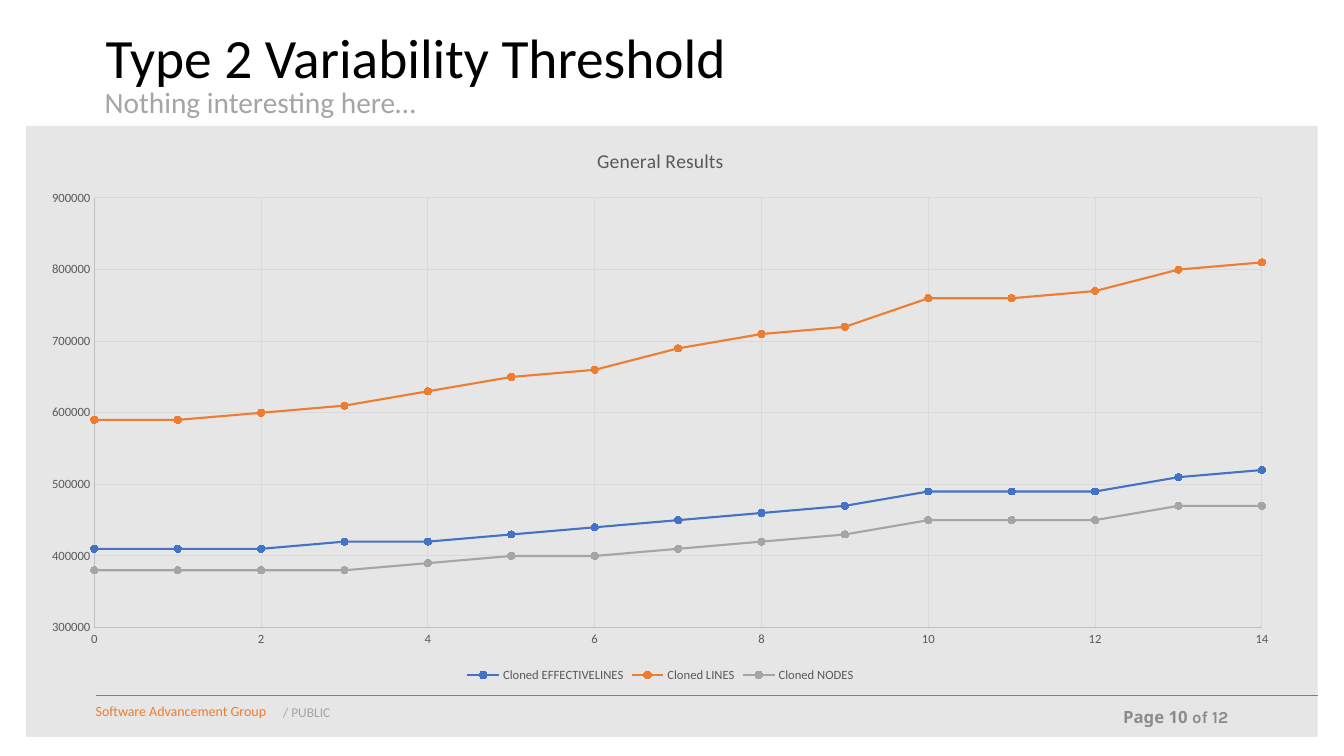
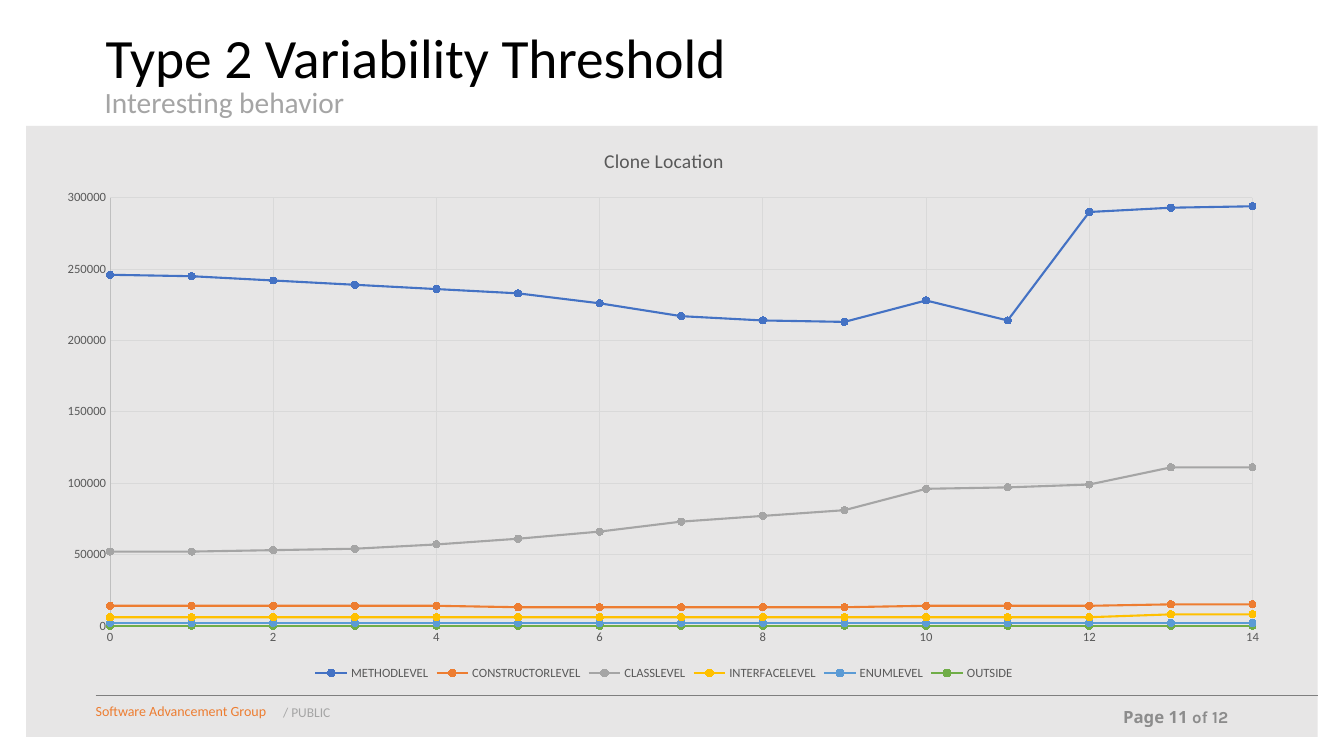
from lxml import etree
from pptx import Presentation
from pptx.chart.data import XyChartData
from pptx.dml.color import RGBColor
from pptx.enum.chart import XL_CHART_TYPE, XL_LEGEND_POSITION, XL_MARKER_STYLE, XL_TICK_MARK
from pptx.enum.shapes import MSO_CONNECTOR, MSO_SHAPE
from pptx.enum.text import MSO_ANCHOR, PP_ALIGN
from pptx.oxml.ns import qn
from pptx.util import Inches, Pt

SCATTER_LINES = XL_CHART_TYPE.XY_SCATTER_LINES
BOTTOM = XL_LEGEND_POSITION.BOTTOM
CIRCLE = XL_MARKER_STYLE.CIRCLE
NO_TICK = XL_TICK_MARK.NONE
STRAIGHT = MSO_CONNECTOR.STRAIGHT
RECT = MSO_SHAPE.RECTANGLE
TOP, MIDDLE = MSO_ANCHOR.TOP, MSO_ANCHOR.MIDDLE
LEFT, RIGHT = PP_ALIGN.LEFT, PP_ALIGN.RIGHT

BLACK = RGBColor(0x00, 0x00, 0x00)
PANEL = RGBColor(0xE7, 0xE6, 0xE6)
RULE = RGBColor(0x7F, 0x7F, 0x7F)
PAGE_GRAY = RGBColor(0x8C, 0x8C, 0x8C)
CHART_TEXT = RGBColor(0x59, 0x59, 0x59)
AXIS = RGBColor(0xBF, 0xBF, 0xBF)
GRID = RGBColor(0xD9, 0xD9, 0xD9)
BLUE = RGBColor(0x44, 0x72, 0xC4)
ORANGE = RGBColor(0xED, 0x7D, 0x31)
GRAY = RGBColor(0xA5, 0xA5, 0xA5)
YELLOW = RGBColor(0xFF, 0xC0, 0x00)
SKY = RGBColor(0x5B, 0x9B, 0xD5)
GREEN = RGBColor(0x70, 0xAD, 0x47)
SERIES_COLORS = [BLUE, ORANGE, GRAY, YELLOW, SKY, GREEN]

# Content: series values are in thousands, one per threshold 0 to 14
TITLE = "Type 2 Variability Threshold"
GROUP, LABEL = "Software Advancement Group", "/ public"
PAGES = 12
SLIDES = [
    {
        "page": 10,
        "subtitle": "Nothing interesting here…",
        "chart": "General Results",
        "at": (0.27, 1.26, 12.57, 5.55),
        "scale": (300, 900, 100),
        "series": {
            "Cloned EFFECTIVELINES": [410, 410, 410, 420, 420, 430, 440, 450, 460, 470,
                                      490, 490, 490, 510, 520],
            "Cloned LINES": [590, 590, 600, 610, 630, 650, 660, 690, 710, 720,
                             760, 760, 770, 800, 810],
            "Cloned NODES": [380, 380, 380, 380, 390, 400, 400, 410, 420, 430,
                             450, 450, 450, 470, 470],
        },
    },
    {
        "page": 11,
        "subtitle": "Interesting behavior",
        "chart": "Clone Location",
        "at": (0.44, 1.26, 12.3, 5.53),
        "scale": (0, 300, 50),
        "series": {
            "METHODLEVEL": [246, 245, 242, 239, 236, 233, 226, 217, 214, 213,
                            228, 214, 290, 293, 294],
            "CONSTRUCTORLEVEL": [14] * 5 + [13] * 5 + [14] * 3 + [15] * 2,
            "CLASSLEVEL": [52, 52, 53, 54, 57, 61, 66, 73, 77, 81,
                           96, 97, 99, 111, 111],
            "INTERFACELEVEL": [6] * 13 + [8] * 2,
            "ENUMLEVEL": [2] * 15,
            "OUTSIDE": [0] * 15,
        },
    },
]

# Shared styles
TITLE_FONT = {"name": "Calibri", "size": Pt(39.6), "color": BLACK}
SUBTITLE_FONT = {"name": "Calibri", "size": Pt(21), "color": GRAY}
GROUP_FONT = {"name": "Calibri", "size": Pt(10), "color": ORANGE}
LABEL_FONT = {"name": "Calibri", "size": Pt(12), "color": GRAY}
PAGE_FONT = {"name": "Noto Sans", "size": Pt(12), "bold": True, "color": PAGE_GRAY}
TOTAL_FONT = {**PAGE_FONT, "name": "Karla"}
CHART_FONT = {"name": "Calibri", "size": Pt(10), "color": BLACK}
CHART_TITLE_FONT = {"name": "Calibri", "size": Pt(14), "bold": False, "color": CHART_TEXT}
CHART_LABEL_FONT = {"name": "Calibri", "size": Pt(9), "color": CHART_TEXT}
PLOT_AREA = {"x": 0.053, "y": 0.127, "w": 0.922, "h": 0.768}


def style_font(font, style):
    for key, value in style.items():
        if key == "color":
            font.color.rgb = value
        else:
            setattr(font, key, value)


def style_line(line, color, width):
    line.color.rgb = color
    line.width = Pt(width)


def add_text(s, at, runs, insets=(0.1, 0.05, 0.1, 0.05), anchor=TOP, align=LEFT, spacing=1.0):
    tf = s.shapes.add_textbox(*map(Inches, at)).text_frame
    tf.word_wrap = True
    tf.vertical_anchor = anchor
    for side, inset in zip(("left", "top", "right", "bottom"), insets):
        setattr(tf, f"margin_{side}", Inches(inset))
    p = tf.paragraphs[0]
    p.alignment, p.line_spacing = align, spacing
    for text, style in runs:
        r = p.add_run()
        r.text = text
        style_font(r.font, style)
    return p


def add_frame(s, subtitle, page):
    # Gray panel and footer rule
    panel = s.shapes.add_shape(RECT, *map(Inches, (0.26, 1.25, 12.82, 6.06)))
    panel.shadow.inherit = False
    panel.fill.solid()
    panel.fill.fore_color.rgb = PANEL
    panel.line.fill.background()
    rule = s.shapes.add_connector(STRAIGHT, *map(Inches, (0.95, 6.9, 13.08, 6.9)))
    style_line(rule.line, RULE, 0.25)
    etree.SubElement(rule.element.spPr, qn("a:effectLst"))

    # Footer
    add_text(s, (0.95, 6.97, 1.84, 0.2), [(GROUP, GROUP_FONT)], (0, 0, 0.04, 0))
    p = add_text(s, (2.77, 6.95, 3.01, 0.2), [(LABEL, LABEL_FONT)], (0.04, 0, 0, 0))
    p.runs[0].font._element.set("cap", "small")
    add_text(s, (9.65, 6.97, 2.64, 0.28),
             [(f"Page {page} ", PAGE_FONT), (f"of {PAGES}", TOTAL_FONT)],
             anchor=MIDDLE, align=RIGHT)

    # Headings
    add_text(s, (0.95, 0.39, 11.34, 0.43), [(TITLE, TITLE_FONT)], anchor=MIDDLE, spacing=0.9)
    add_text(s, (0.94, 0.83, 11.34, 0.43), [(subtitle, SUBTITLE_FONT)], spacing=0.9)


def style_axis(axis, low, high, step):
    settings = {
        "minimum_scale": low, "maximum_scale": high, "major_unit": step,
        "major_tick_mark": NO_TICK, "minor_tick_mark": NO_TICK, "has_major_gridlines": True,
    }
    for key, value in settings.items():
        setattr(axis, key, value)
    style_line(axis.format.line, AXIS, 0.75)
    style_line(axis.major_gridlines.format.line, GRID, 0.75)
    style_font(axis.tick_labels.font, CHART_LABEL_FONT)
    axis.tick_labels.number_format = "General"
    axis.tick_labels.number_format_is_linked = False


def place_plot(chart):
    plot_area = chart.element.find(".//" + qn("c:plotArea"))
    layout = plot_area.find(qn("c:layout"))
    if layout is None:
        layout = etree.Element(qn("c:layout"))
        plot_area.insert(0, layout)
    manual = etree.SubElement(layout, qn("c:manualLayout"))
    values = {"layoutTarget": "inner", "xMode": "edge", "yMode": "edge", **PLOT_AREA}
    for tag, value in values.items():
        etree.SubElement(manual, qn(f"c:{tag}")).set("val", str(value))


def add_line_chart(s, title, at, scale, series):
    data = XyChartData()
    for name, values in series.items():
        points = data.add_series(name)
        for threshold, value in enumerate(values):
            points.add_data_point(threshold, value * 1000)
    chart = s.shapes.add_chart(SCATTER_LINES, *map(Inches, at), data).chart
    style_font(chart.font, CHART_FONT)

    # Title and legend
    chart.has_title = True
    chart.chart_title.include_in_layout = False
    r = chart.chart_title.text_frame.paragraphs[0].add_run()
    r.text = title
    style_font(r.font, CHART_TITLE_FONT)
    chart.has_legend = True
    chart.legend.position = BOTTOM
    chart.legend.include_in_layout = False
    style_font(chart.legend.font, CHART_LABEL_FONT)

    # Axes and series
    style_axis(chart.category_axis, 0, 14, 2)
    style_axis(chart.value_axis, *(n * 1000 for n in scale))
    plot = chart.plots[0]
    plot.vary_by_categories = False
    for line, color in zip(plot.series, SERIES_COLORS):
        style_line(line.format.line, color, 1.5)
        line.marker.style, line.marker.size = CIRCLE, 5
        line.marker.format.fill.solid()
        line.marker.format.fill.fore_color.rgb = color
        style_line(line.marker.format.line, color, 0.75)
    place_plot(chart)


prs = Presentation()
prs.slide_width, prs.slide_height = Inches(13.34), Inches(7.5)
for content in SLIDES:
    s = prs.slides.add_slide(prs.slide_layouts[6])
    add_frame(s, content["subtitle"], content["page"])
    add_line_chart(s, content["chart"], content["at"], content["scale"], content["series"])
prs.save("out.pptx")
